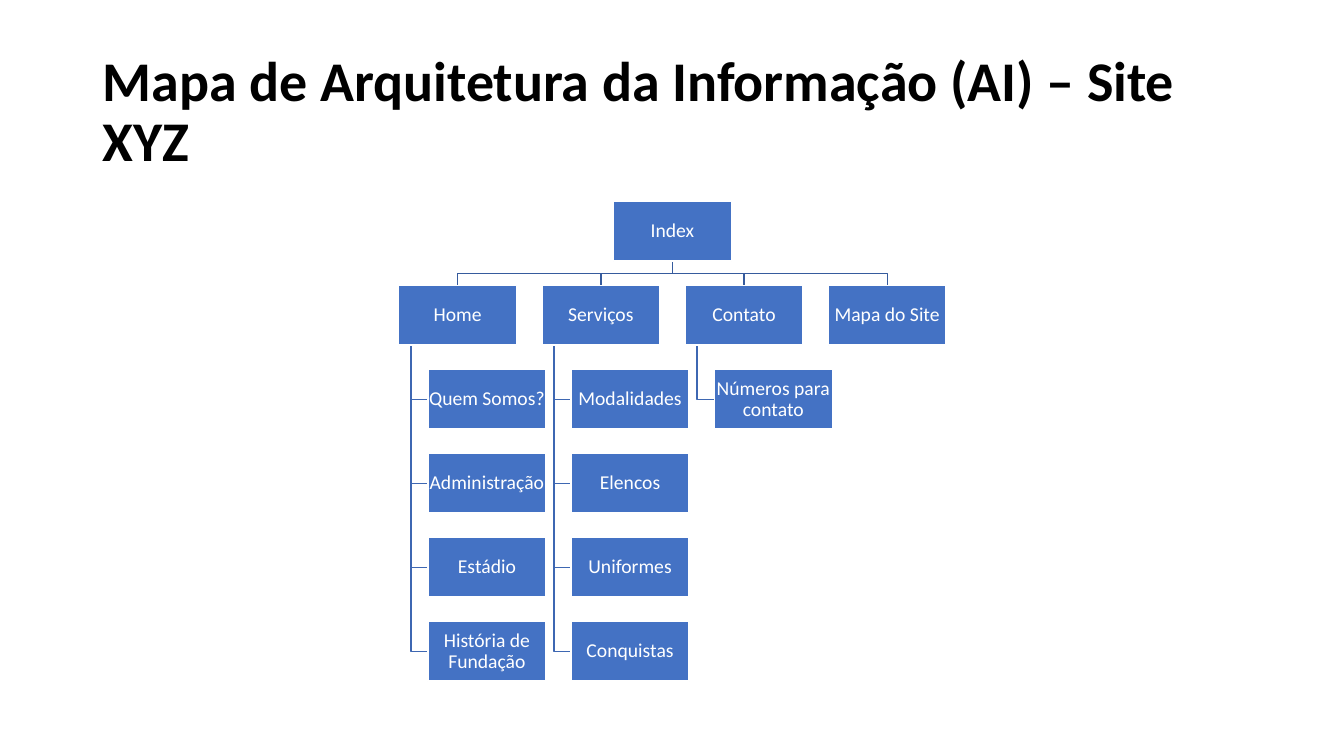
from pptx import Presentation
from pptx.dml.color import RGBColor
from pptx.enum.shapes import MSO_SHAPE
from pptx.enum.text import MSO_ANCHOR, MSO_AUTO_SIZE, PP_ALIGN
from pptx.util import Inches, Pt

RECTANGLE = MSO_SHAPE.RECTANGLE
MIDDLE = MSO_ANCHOR.MIDDLE
NO_FIT = MSO_AUTO_SIZE.NONE
LEFT, CENTER = PP_ALIGN.LEFT, PP_ALIGN.CENTER

BLACK = RGBColor(0x00, 0x00, 0x00)
WHITE = RGBColor(0xFF, 0xFF, 0xFF)
BLUE = RGBColor(0x44, 0x72, 0xC4)
BRANCH_BLUE = RGBColor(0x36, 0x5B, 0x9D)
TWIG_BLUE = RGBColor(0x3E, 0x67, 0xB2)

TITLE = "Mapa de Arquitetura da Informação (AI) – Site XYZ"
ROOT = "Index"
SECTIONS = [
    ("Home", ["Quem Somos?", "Administração", "Estádio", "História de Fundação"]),
    ("Serviços", ["Modalidades", "Elencos", "Uniformes", "Conquistas"]),
    ("Contato", ["Números para contato"]),
    ("Mapa do Site", []),
]

TITLE_BOX = {"left": Inches(0.92), "top": Inches(0.4),
             "width": Inches(11.5), "height": Inches(1.45)}
TITLE_FONT = {"name": "Calibri", "size": Pt(40), "bold": True}
BOX_FONT = {"name": "Calibri", "size": Pt(14)}
TITLE_FRAME = {"vertical_anchor": MIDDLE, "word_wrap": True, "auto_size": NO_FIT}
MARGINS = ("margin_left", "margin_top", "margin_right", "margin_bottom")
BOX_FRAME = {**TITLE_FRAME, **dict.fromkeys(MARGINS, Inches(0.01))}

BOX_W, BOX_H = 1.17, 0.59
CENTER_X = 6.67
COL_STEP = 1.42
TREE_TOP = 2
ROW_STEP = 2.5 / 3
CHILD_INDENT = 0.29
TRUNK_INDENT = 0.12


def apply(target, values):
    for key, value in values.items():
        setattr(target, key, value)


def write(tf, text, frame, font, color, align):
    apply(tf, frame)
    tf.text = text
    p = tf.paragraphs[0]
    apply(p, {"alignment": align, "line_spacing": 0.9})
    apply(p.runs[0].font, font)
    p.runs[0].font.color.rgb = color


def row_top(row):
    return TREE_TOP + row * ROW_STEP


def add_box(text, left, row):
    sp = s.shapes.add_shape(RECTANGLE, Inches(left), Inches(row_top(row)),
                            Inches(BOX_W), Inches(BOX_H))
    sp.shadow.inherit = False
    sp.fill.solid()
    sp.fill.fore_color.rgb = BLUE
    sp.line.color.rgb = WHITE
    sp.line.width = Pt(1)
    write(sp.text_frame, text, BOX_FRAME, BOX_FONT, WHITE, CENTER)


def add_link(points, color):
    start, *rest = [(Inches(x), Inches(y)) for x, y in points]
    builder = s.shapes.build_freeform(*start)
    builder.add_line_segments(rest, close=False)
    sp = builder.convert_to_shape()
    sp.shadow.inherit = False
    sp.fill.background()
    sp.line.color.rgb = color
    sp.line.width = Pt(1)


prs = Presentation()
prs.slide_width, prs.slide_height = Inches(13.33), Inches(7.5)
s = prs.slides.add_slide(prs.slide_layouts[5])
apply(s.shapes.title, TITLE_BOX)
write(s.shapes.title.text_frame, TITLE, TITLE_FRAME, TITLE_FONT, BLACK, LEFT)

root_bottom = TREE_TOP + BOX_H
section_top = row_top(1)
section_bottom = section_top + BOX_H
bus_y = (root_bottom + section_top) / 2
boxes = [(ROOT, CENTER_X - BOX_W / 2, 0)]

for col, (section, children) in enumerate(SECTIONS):
    mid_x = CENTER_X + (col - (len(SECTIONS) - 1) / 2) * COL_STEP
    left = mid_x - BOX_W / 2
    trunk_x, child_left = left + TRUNK_INDENT, left + CHILD_INDENT
    boxes.append((section, left, 1))
    add_link([(CENTER_X, root_bottom), (CENTER_X, bus_y),
              (mid_x, bus_y), (mid_x, section_top)], BRANCH_BLUE)
    for row, child in enumerate(children, 2):
        child_y = row_top(row) + BOX_H / 2
        boxes.append((child, child_left, row))
        add_link([(trunk_x, section_bottom), (trunk_x, child_y),
                  (child_left, child_y)], TWIG_BLUE)

for box in boxes:
    add_box(*box)

prs.save("out.pptx")
